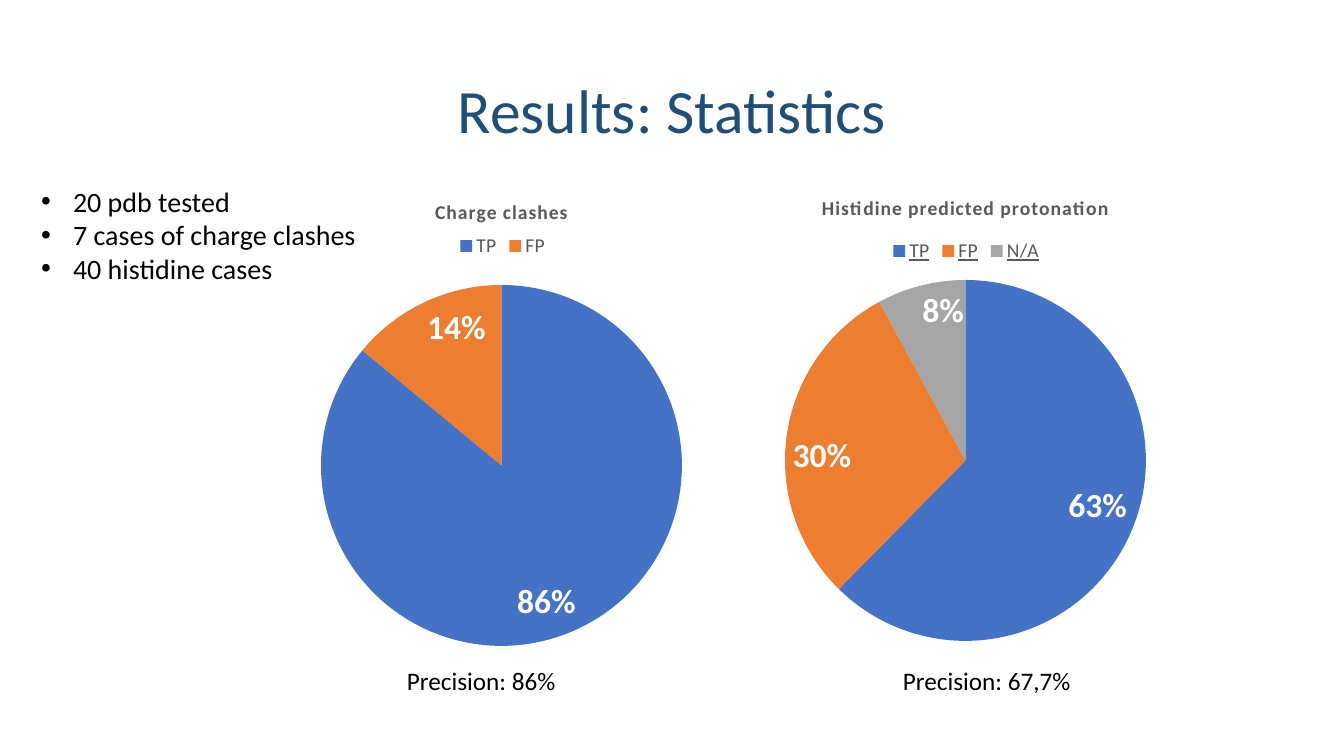
from pptx import Presentation
from pptx.chart.data import CategoryChartData as ChartData
from pptx.dml.color import RGBColor as RGB
from pptx.enum.chart import XL_CHART_TYPE as Kind, XL_LABEL_POSITION as Spot
from pptx.enum.chart import XL_LEGEND_POSITION as Side
from pptx.enum.text import MSO_ANCHOR as Anchor, MSO_AUTO_SIZE as Fit, PP_ALIGN as Align
from pptx.oxml import parse_xml
from pptx.oxml.ns import nsdecls
from pptx.util import Pt

PX = 914400 / 100.8
FONT = "Calibri"
NAVY = RGB(0x1F, 0x4E, 0x79)
BLACK = RGB(0, 0, 0)
WHITE = RGB(255, 255, 255)
GRAY = RGB(0x59, 0x59, 0x59)
HUES = [RGB(0x44, 0x72, 0xC4), RGB(0xED, 0x7D, 0x31), RGB(0xA5, 0xA5, 0xA5)]
WIDE, HIGH = 571, 480


def style(font, size, hue, bold=False):
    """Set the face, size, colour and weight of a font."""
    font.name, font.size, font.bold = FONT, Pt(size), bold
    font.color.rgb = hue


def layout(target, **spots):
    """Build a manual chart layout from pixel lengths inside the chart."""
    inner = '<c:layoutTarget val="inner"/>' if target else ""
    modes = '<c:xMode val="edge"/><c:yMode val="edge"/>'
    parts = "".join(
        f'<c:{key} val="{val / (WIDE if key in "xw" else HIGH):.4f}"/>'
        for key, val in spots.items())
    return parse_xml(f'<c:layout {nsdecls("c")}><c:manualLayout>{inner}{modes}'
                     f'{parts}</c:manualLayout></c:layout>')


deck = Presentation()
deck.slide_width, deck.slide_height = round(1344 * PX), round(756 * PX)
slide = deck.slides.add_slide(deck.slide_layouts[1])

# Title
title = slide.shapes.title
title.left, title.top, title.width, title.height = [
    round(n * PX) for n in (92, 41, 1160, 146)]
title.text_frame.vertical_anchor = Anchor.MIDDLE
para = title.text_frame.paragraphs[0]
para.alignment, para.line_spacing = Align.CENTER, 0.9
run = para.add_run()
run.text = "Results: Statistics"
style(run.font, 44, NAVY)

# Pie charts: title, percents, corner, legend corner, pie top, underlined legend
pies = [
    ("Charge clashes", [86, 14], 216, 180, 238, 50, 105, False),
    ("Histidine predicted protonation", [63, 30, 8], 680, 176, 207, 59, 104, True),
]
for name, vals, left, top, key_x, key_y, pie_y, under in pies:
    data = ChartData()
    data.categories = ["TP", "FP", "N/A"][:len(vals)]
    data.add_series("Series 1", vals)
    box = [round(n * PX) for n in (left, top, WIDE, HIGH)]
    chart = slide.shapes.add_chart(Kind.PIE, *box, data).chart
    style(chart.font, 10, BLACK)

    chart.has_title = True
    run = chart.chart_title.text_frame.paragraphs[0].add_run()
    run.text = name
    style(run.font, 14, GRAY, True)
    run.font._element.set("spc", "60")
    chart.chart_title.include_in_layout = False

    chart.has_legend = True
    legend = chart.legend
    legend.position, legend.include_in_layout = Side.TOP, False
    style(legend.font, 14, GRAY)
    legend.font.underline = under
    node = legend._element
    node.find("{*}legendPos").addnext(layout(False, x=key_x, y=key_y))

    plot = chart.plots[0]
    plot.vary_by_categories = True
    area = plot._element.getparent()
    for old in area.findall("{*}layout"):
        area.remove(old)
    area.insert(0, layout(True, x=105, y=pie_y, w=361, h=361))
    for n, hue in enumerate(HUES[:len(vals)]):
        fill = plot.series[0].points[n].format.fill
        fill.solid()
        fill.fore_color.rgb = hue
    plot.has_data_labels = True
    tags = plot.data_labels
    tags.show_percentage, tags.show_value = False, True
    tags.number_format, tags.number_format_is_linked = '0"%"', False
    tags.position = Spot.INSIDE_END
    style(tags.font, 24, WHITE, True)

# Bullet list, in front of the charts
body = slide.placeholders[1]
body.left, body.top, body.width, body.height = [
    round(n * PX) for n in (31, 179, 366, 173)]
body.element.getparent().append(body.element)
frame = body.text_frame
frame.auto_size, frame.vertical_anchor = Fit.NONE, Anchor.TOP
facts = ["20 pdb tested", "7 cases of charge clashes", "40 histidine cases"]
for n, fact in enumerate(facts):
    para = frame.add_paragraph() if n else frame.paragraphs[0]
    para.space_before = Pt(0)
    props = para._p.get_or_add_pPr()
    props.set("marL", str(round(32 * PX)))
    props.set("indent", str(-round(32 * PX)))
    run = para.add_run()
    run.text = fact
    style(run.font, 20, BLACK)

# Precision notes
for left, note in [(397, "Precision: 86%"), (893, "Precision: 67,7%")]:
    box = [round(n * PX) for n in (left, 660, 253, 40)]
    frame = slide.shapes.add_textbox(*box).text_frame
    frame.word_wrap = True
    run = frame.paragraphs[0].add_run()
    run.text = note
    style(run.font, 18, BLACK)

deck.save("out.pptx")
